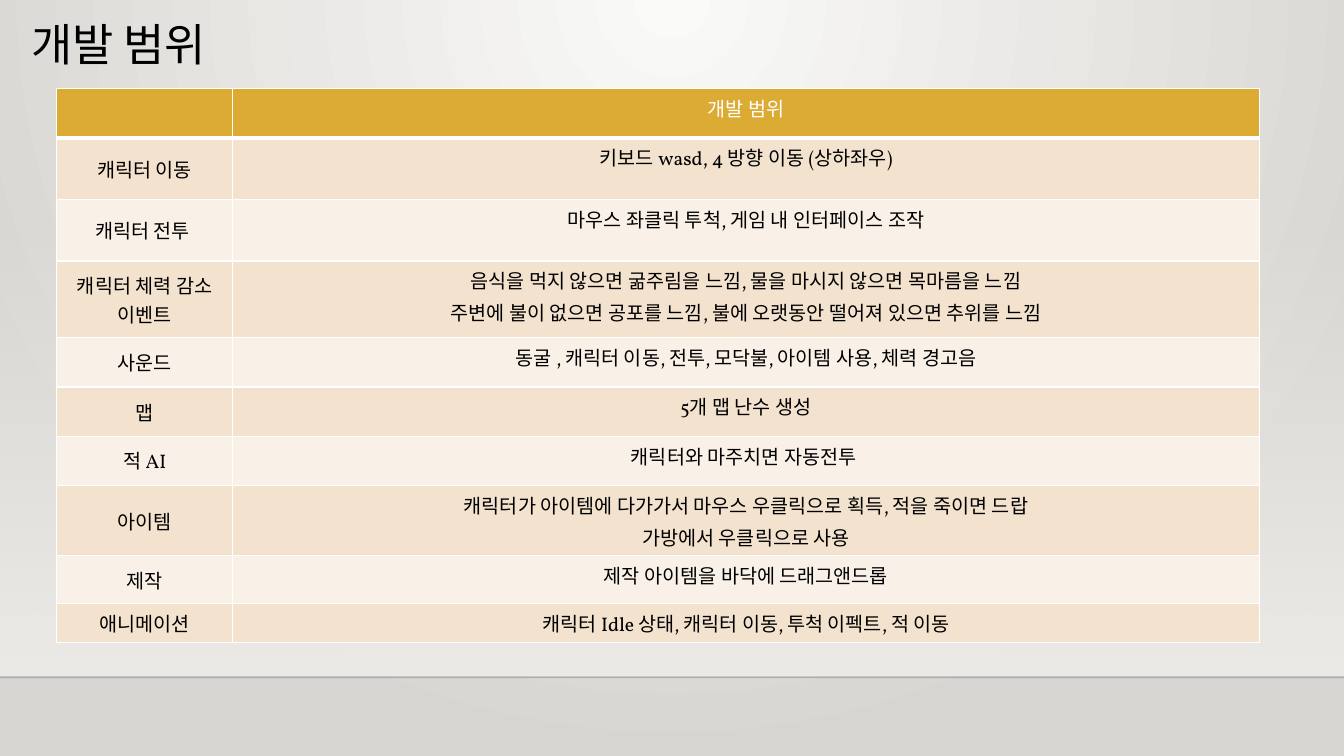
from dataclasses import dataclass

from lxml.etree import SubElement
from pptx import Presentation
from pptx.dml.color import RGBColor
from pptx.enum.shapes import MSO_CONNECTOR, MSO_SHAPE
from pptx.enum.text import MSO_ANCHOR, PP_ALIGN
from pptx.oxml.ns import qn
from pptx.util import Inches, Pt


@dataclass(frozen=True)
class Theme:
    """Colours, font and type sizes of the slide."""
    font: str = "Vollkorn"
    title_size: int = 32
    table_size: int = 14
    text: str = "000000"
    white: str = "FFFFFF"
    header: str = "DCAB34"
    bands: tuple = ("F2E2CE", "F9F1E8")
    backdrop: tuple = ("FAFAF9", "D7D5D2")
    wall: str = "EDEBE7"
    floor_line: str = "000001"


THEME = Theme()
COLUMN_WIDTHS = (1.75, 10.18)
HEADER = ("", "개발 범위")
HEADER_HEIGHT = 0.49
SCOPE = (
    (0.61, "캐릭터 이동", "키보드 wasd, 4 방향 이동 (상하좌우)"),
    (0.61, "캐릭터 전투 ", "마우스 좌클릭 투척, 게임 내 인터페이스 조작"),
    (0.76, "캐릭터 체력 감소 이벤트",
     "음식을 먹지 않으면 굶주림을 느낌, 물을 마시지 않으면 목마름을 느낌\n"
     "주변에 불이 없으면 공포를 느낌, 불에 오랫동안 떨어져 있으면 추위를 느낌"),
    (0.49, "사운드", "동굴 , 캐릭터 이동, 전투, 모닥불, 아이템 사용, 체력 경고음"),
    (0.49, "맵", "5개 맵 난수 생성"),
    (0.49, "적 AI", "캐릭터와 마주치면 자동전투 "),
    (0.69, "아이템",
     "캐릭터가 아이템에 다가가서 마우스 우클릭으로 획득, 적을 죽이면 드랍\n"
     "가방에서 우클릭으로 사용"),
    (0.48, "제작", "제작 아이템을 바닥에 드래그앤드롭"),
    (0.39, "애니메이션", "캐릭터 Idle 상태, 캐릭터 이동, 투척 이펙트, 적 이동"),
)


def rgb(value):
    """Turn a hex string into a colour."""
    return RGBColor.from_string(value)


def set_alpha(element, percent):
    """Make the first colour inside an element partly transparent."""
    colour = next(element.iter(qn("a:srgbClr")))
    SubElement(colour, qn("a:alpha"), val=str(percent * 1000))


def set_gradient(fill, colours):
    """Give a fill a two-stop gradient."""
    fill.gradient()
    for stop, colour in zip(fill.gradient_stops, colours):
        stop.color.rgb = rgb(colour)


def paint_background(slide):
    """Light the slide with a circular gradient from the top centre."""
    set_gradient(slide.background.fill, THEME.backdrop)
    gradient = next(slide.element.iter(qn("a:gradFill")))
    gradient.remove(gradient.find(qn("a:lin")))
    circle = SubElement(gradient, qn("a:path"), path="circle")
    SubElement(circle, qn("a:fillToRect"), l="43000", t="0", r="43000", b="100000")


def add_wall(slide):
    """Add the panel that fades in towards the floor."""
    wall = slide.shapes.add_shape(
        MSO_SHAPE.RECTANGLE, 0, Inches(2.2), Inches(13.33), Inches(4.5))
    wall.shadow.inherit = False
    wall.line.fill.background()
    set_gradient(wall.fill, (THEME.wall, THEME.wall))
    wall.fill.gradient_angle = 270
    set_alpha(wall.element.spPr, 0)


def add_floor_line(slide):
    """Add the faint line where the wall meets the floor."""
    line = slide.shapes.add_connector(
        MSO_CONNECTOR.STRAIGHT, 0, Inches(6.72), Inches(13.33), Inches(6.72))
    line.line.width = Pt(1)
    line.line.color.rgb = rgb(THEME.floor_line)
    set_alpha(line.element.spPr, 20)
    SubElement(line.element.spPr, qn("a:effectLst"))


def add_run(paragraph, text, size, colour):
    """Add one formatted run to a paragraph."""
    run = paragraph.add_run()
    run.text = text
    run.font.name = THEME.font
    run.font.size = Pt(size)
    run.font.color.rgb = rgb(colour)


def add_title(slide, text):
    """Add the slide title."""
    box = slide.shapes.add_textbox(
        Inches(0.21), Inches(0.18), Inches(10.41), Inches(1.15))
    frame = box.text_frame
    frame.word_wrap = True
    frame.vertical_anchor = MSO_ANCHOR.TOP
    paragraph = frame.paragraphs[0]
    paragraph.line_spacing = 0.9
    add_run(paragraph, text, THEME.title_size, THEME.text)


def set_borders(cell, bottom):
    """Draw white borders round a cell."""
    properties = cell._tc.get_or_add_tcPr()
    widths = {"lnL": 1, "lnR": 1, "lnT": 1, "lnB": bottom}
    for index, (side, width) in enumerate(widths.items()):
        border = SubElement(properties, qn(f"a:{side}"), w=str(Pt(width)))
        fill = SubElement(border, qn("a:solidFill"))
        SubElement(fill, qn("a:srgbClr"), val=THEME.white)
        properties.insert(index, border)


def fill_cell(cell, text, background, colour, anchor, bottom=1):
    """Write centred lines into a cell and style it."""
    cell.fill.solid()
    cell.fill.fore_color.rgb = rgb(background)
    cell.vertical_anchor = anchor
    set_borders(cell, bottom)
    frame = cell.text_frame
    for index, line in enumerate(text.splitlines()):
        paragraph = frame.add_paragraph() if index else frame.paragraphs[0]
        paragraph.alignment = PP_ALIGN.CENTER
        add_run(paragraph, line, THEME.table_size, colour)


def add_scope_table(slide):
    """Add the table of development scope."""
    heights = [HEADER_HEIGHT] + [row[0] for row in SCOPE]
    table = slide.shapes.add_table(
        len(heights), len(COLUMN_WIDTHS), Inches(0.56), Inches(0.88),
        Inches(sum(COLUMN_WIDTHS)), Inches(sum(heights))).table
    for column, width in zip(table.columns, COLUMN_WIDTHS):
        column.width = Inches(width)
    for row, height in zip(table.rows, heights):
        row.height = Inches(height)
    for column, text in enumerate(HEADER):
        fill_cell(table.cell(0, column), text, THEME.header, THEME.white,
                  MSO_ANCHOR.TOP, bottom=3)
    anchors = (MSO_ANCHOR.MIDDLE, MSO_ANCHOR.TOP)
    for index, (_, *texts) in enumerate(SCOPE):
        band = THEME.bands[index % len(THEME.bands)]
        for column, (text, anchor) in enumerate(zip(texts, anchors)):
            fill_cell(table.cell(index + 1, column), text, band, THEME.text, anchor)


def main():
    """Build the slide and save it."""
    presentation = Presentation()
    presentation.slide_width = Inches(13.33)
    presentation.slide_height = Inches(7.5)
    slide = presentation.slides.add_slide(presentation.slide_layouts[6])
    paint_background(slide)
    add_wall(slide)
    add_floor_line(slide)
    add_title(slide, "개발 범위")
    add_scope_table(slide)
    presentation.save("out.pptx")


main()
